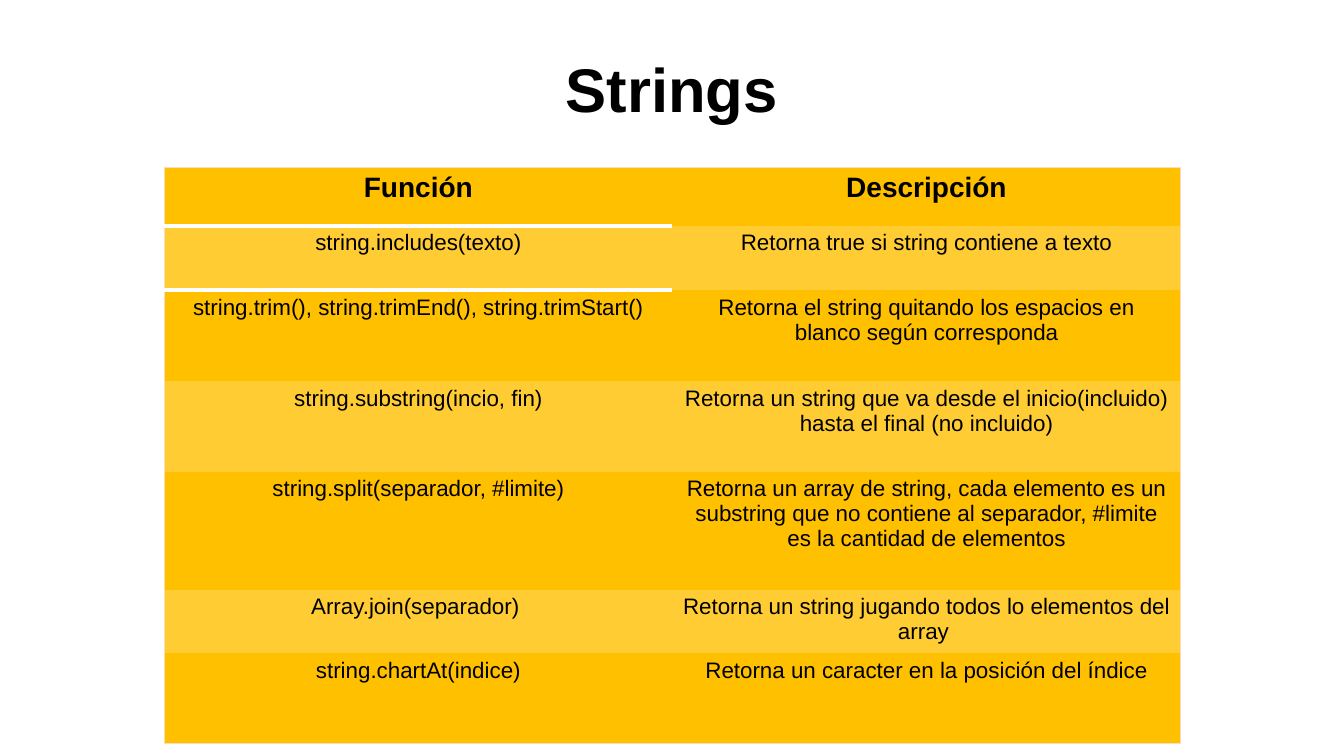
from dataclasses import dataclass

import pptx
import pptx.dml.color
import pptx.enum.text
import pptx.oxml
import pptx.oxml.ns
import pptx.table
import pptx.text.text
import pptx.util

Inches = pptx.util.Inches
AMBER, LIGHT = "FFC000", "FFCC33"
EDGE, WHITE = "FBDDB7", "FFFFFF"
PLAIN = "{2D5ABB26-0587-4C30-8999-92F81FD0307C}"  # no style, no grid


@dataclass
class Row:
    height: float
    name: str
    about: str


ROWS = [
    Row(0.58, "Función", "Descripción"),
    Row(0.64, "string.includes(texto)", "Retorna true si string contiene a texto"),
    Row(0.9, "string.trim(), string.trimEnd(), string.trimStart()",
        "Retorna el string quitando los espacios en blanco según corresponda"),
    Row(0.9, "string.substring(incio, fin)",
        "Retorna un string que va desde el inicio(incluido) hasta el final (no incluido)"),
    Row(1.17, "string.split(separador, #limite)",
        "Retorna un array de string, cada elemento es un substring que no contiene "
        "al separador, #limite es la cantidad de elementos"),
    Row(0.63, "Array.join(separador) ",
        "Retorna un string jugando todos lo elementos del array "),
    Row(0.89, "string.chartAt(indice)", "Retorna un caracter en la posición del índice"),
]


def color(code: str) -> pptx.dml.color.RGBColor:
    return pptx.dml.color.RGBColor.from_string(code)


def write(frame: pptx.text.text.TextFrame, text: str, size: int, bold: bool) -> None:
    para = frame.paragraphs[0]
    para.alignment = pptx.enum.text.PP_ALIGN.CENTER
    run = para.add_run()
    run.text = text
    run.font.name = "Arial"
    run.font.size = pptx.util.Pt(size)
    run.font.bold = bold
    run.font.color.rgb = color("000000")


def border(cell: pptx.table._Cell, side: str, code: str, width: float) -> None:
    """Add one border; sides must come in the order L, R, T, B, before the fill."""
    cell._tc.get_or_add_tcPr().append(pptx.oxml.parse_xml(
        f'<a:ln{side} {pptx.oxml.ns.nsdecls("a")} w="{pptx.util.Pt(width)}">'
        f'<a:solidFill><a:srgbClr val="{code}"/></a:solidFill></a:ln{side}>'))


def main() -> None:
    deck = pptx.Presentation()
    deck.slide_width, deck.slide_height = Inches(13.33), Inches(7.5)
    slide = deck.slides.add_slide(deck.slide_layouts[6])

    title = slide.shapes.add_textbox(0, Inches(0.46), deck.slide_width, Inches(0.84))
    title.text_frame.word_wrap = True
    write(title.text_frame, "Strings", 44, True)

    last = len(ROWS) - 1
    total = sum(row.height for row in ROWS)
    frame = slide.shapes.add_table(
        len(ROWS), 2, Inches(1.63), Inches(1.66), Inches(10.08), Inches(total))
    table = frame.table
    table._tbl.tblPr.find(pptx.oxml.ns.qn("a:tableStyleId")).text = PLAIN

    for r, row in enumerate(ROWS):
        table.rows[r].height = Inches(row.height)
        for c, text in enumerate((row.name, row.about)):
            cell = table.cell(r, c)
            write(cell.text_frame, text, 16 if r else 20, r == 0)
            border(cell, "LR"[c], EDGE, 0.75)
            if r == 0:
                border(cell, "T", EDGE, 0.75)
            if r == 0 and c == 0:
                border(cell, "B", WHITE, 3)
            if r == 1 and c == 0:
                border(cell, "T", WHITE, 3)
            if r == last:
                border(cell, "B", EDGE, 0.75)
            cell.fill.solid()
            cell.fill.fore_color.rgb = color(LIGHT if r % 2 else AMBER)

    deck.save("out.pptx")


if __name__ == "__main__":
    main()
